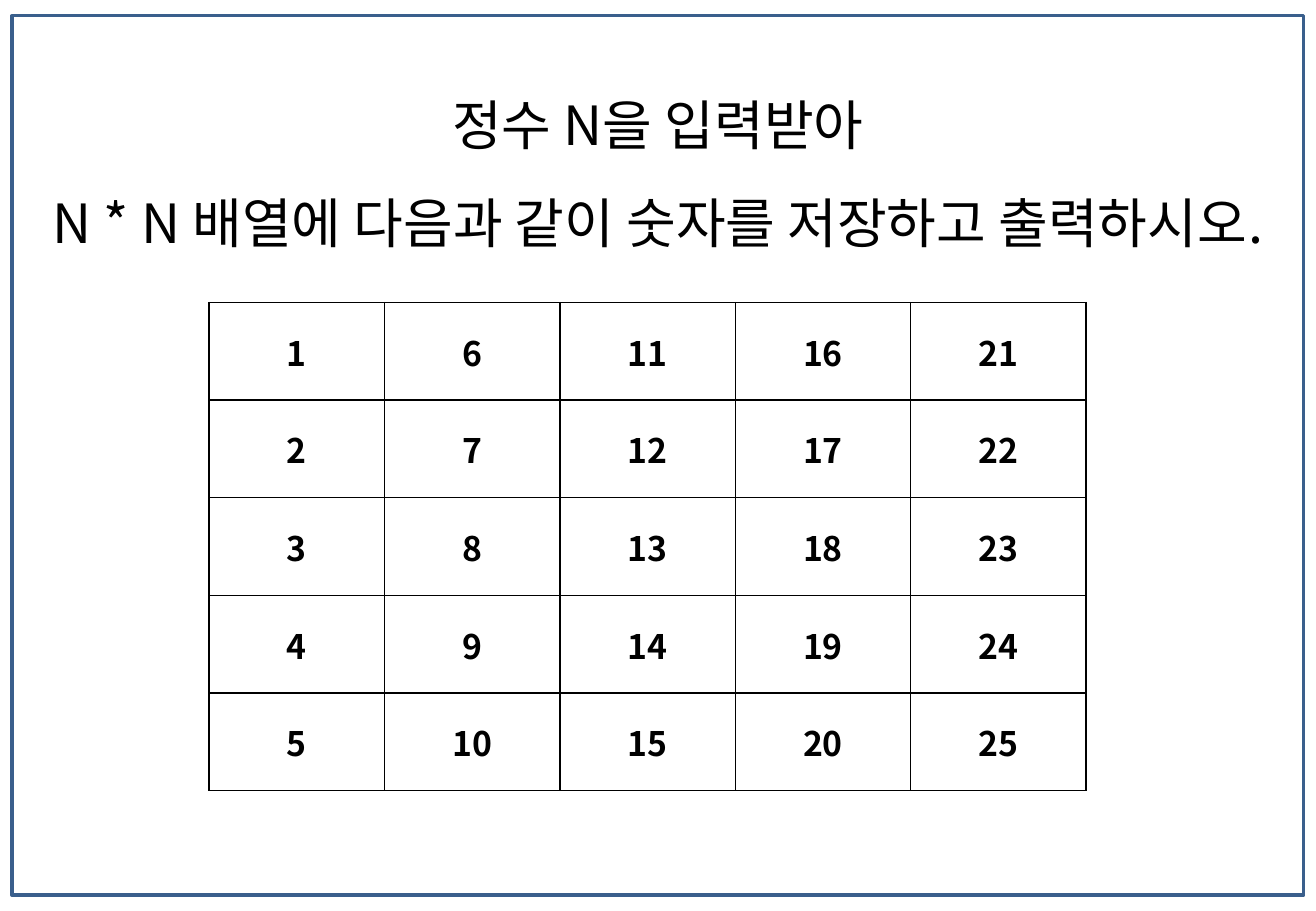
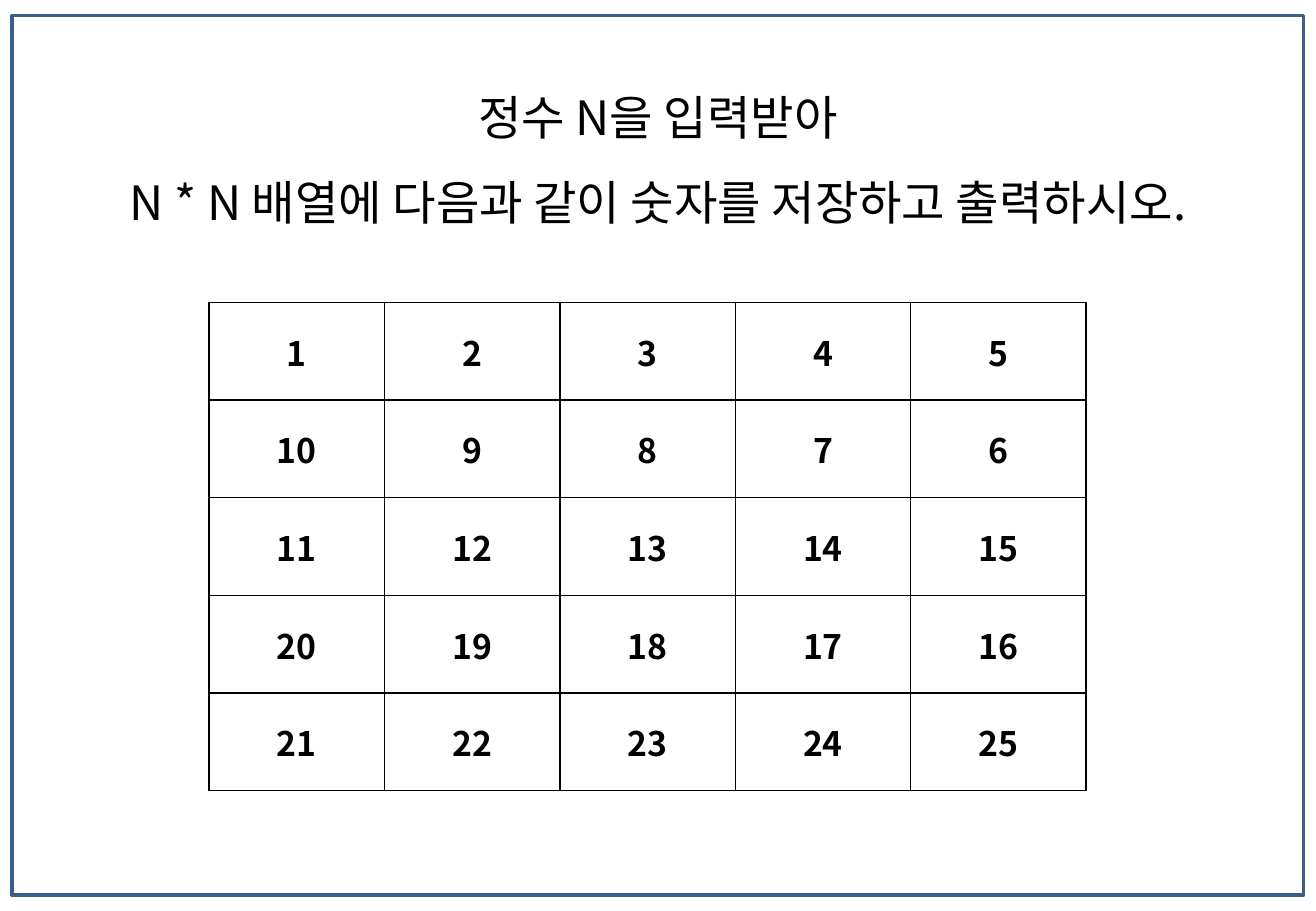
import pptx
import pptx.dml.color
import pptx.enum.shapes
import pptx.enum.text
import pptx.oxml.ns
import pptx.util
import lxml.etree

# Shared look
COLORS = {"background": "FFFFFF", "text": "000000", "frame": "3A5F8C", "grid": "000000"}
FONT = "Noto Sans CJK KR"
SLIDE_WIDTH = pptx.util.Inches(10.83)
SLIDE_HEIGHT = pptx.util.Inches(7.5)
TITLE_ONLY_LAYOUT = 5
N = 5

# Boxes as percent of the slide: left, top, width, height
FRAME_BOX = (0.92, 1.73, 98.15, 96.53)
TABLE_BOX = (15.88, 33.2, 66.67, 53.6)
TITLE_TOP = 5.87

TITLE_LINES = (
    "정수 N을 입력받아",
    "N * N 배열에 다음과 같이 숫자를 저장하고 출력하시오.",
)


def color(name):
    return pptx.dml.color.RGBColor.from_string(COLORS[name])


def place(box):
    """Turn percentages of the slide into lengths."""
    sides = (SLIDE_WIDTH, SLIDE_HEIGHT) * 2
    return [round(side * share / 100) for side, share in zip(sides, box)]


def add_run(paragraph, text, size, bold=False):
    paragraph.alignment = pptx.enum.text.PP_ALIGN.CENTER
    run = paragraph.add_run()
    run.text = text
    run.font.size = pptx.util.Pt(size)
    run.font.bold = bold
    run.font.name = FONT
    run.font.color.rgb = color("text")
    east_asian = lxml.etree.SubElement(run.font._element, pptx.oxml.ns.qn("a:ea"))
    east_asian.set("typeface", FONT)


def set_title(slide, size, width, height):
    title = slide.shapes.title
    title.left, title.top, title.width, title.height = place(
        ((100 - width) / 2, TITLE_TOP, width, height))
    text_frame = title.text_frame
    text_frame.word_wrap = False
    text_frame.auto_size = pptx.enum.text.MSO_AUTO_SIZE.SHAPE_TO_FIT_TEXT
    text_frame.vertical_anchor = pptx.enum.text.MSO_ANCHOR.TOP
    for index, line in enumerate(TITLE_LINES):
        paragraph = text_frame.add_paragraph() if index else text_frame.paragraphs[0]
        paragraph.line_spacing = 1.5
        add_run(paragraph, line, size)


def add_frame(slide):
    frame = slide.shapes.add_shape(
        pptx.enum.shapes.MSO_SHAPE.RECTANGLE, *place(FRAME_BOX))
    frame.shadow.inherit = False
    frame.fill.background()
    frame.line.color.rgb = color("frame")
    frame.line.width = pptx.util.Pt(2)


def set_borders(cell):
    properties = cell._tc.get_or_add_tcPr()
    for side in ("a:lnL", "a:lnR", "a:lnT", "a:lnB"):
        border = lxml.etree.SubElement(
            properties, pptx.oxml.ns.qn(side), w=str(pptx.util.Pt(1)))
        fill = lxml.etree.SubElement(border, pptx.oxml.ns.qn("a:solidFill"))
        lxml.etree.SubElement(fill, pptx.oxml.ns.qn("a:srgbClr"), val=COLORS["grid"])


def add_number_table(slide, number_at):
    left, top, width, height = place(TABLE_BOX)
    table = slide.shapes.add_table(N, N, left, top, width, height).table
    table.first_row = False
    table.horz_banding = False
    for row in range(N):
        for column in range(N):
            cell = table.cell(row, column)
            cell.vertical_anchor = pptx.enum.text.MSO_ANCHOR.MIDDLE
            set_borders(cell)
            cell.fill.background()
            add_run(cell.text_frame.paragraphs[0], str(number_at(row, column)), 20, True)


# Number patterns
def column_order(row, column):
    return column * N + row + 1


def snake_order(row, column):
    step = N - 1 - column if row % 2 else column
    return row * N + step + 1


def add_problem_slide(presentation, title_size, title_width, title_height, number_at):
    layout = presentation.slide_layouts[TITLE_ONLY_LAYOUT]
    slide = presentation.slides.add_slide(layout)
    set_title(slide, title_size, title_width, title_height)
    add_frame(slide)
    add_number_table(slide, number_at)


def main():
    presentation = pptx.Presentation()
    presentation.slide_width = SLIDE_WIDTH
    presentation.slide_height = SLIDE_HEIGHT
    background = presentation.slide_master.background.fill
    background.solid()
    background.fore_color.rgb = color("background")

    add_problem_slide(presentation, 32, 95.01, 22.93, column_order)
    add_problem_slide(presentation, 28, 92.24, 18.67, snake_order)
    presentation.save("out.pptx")


if __name__ == "__main__":
    main()
